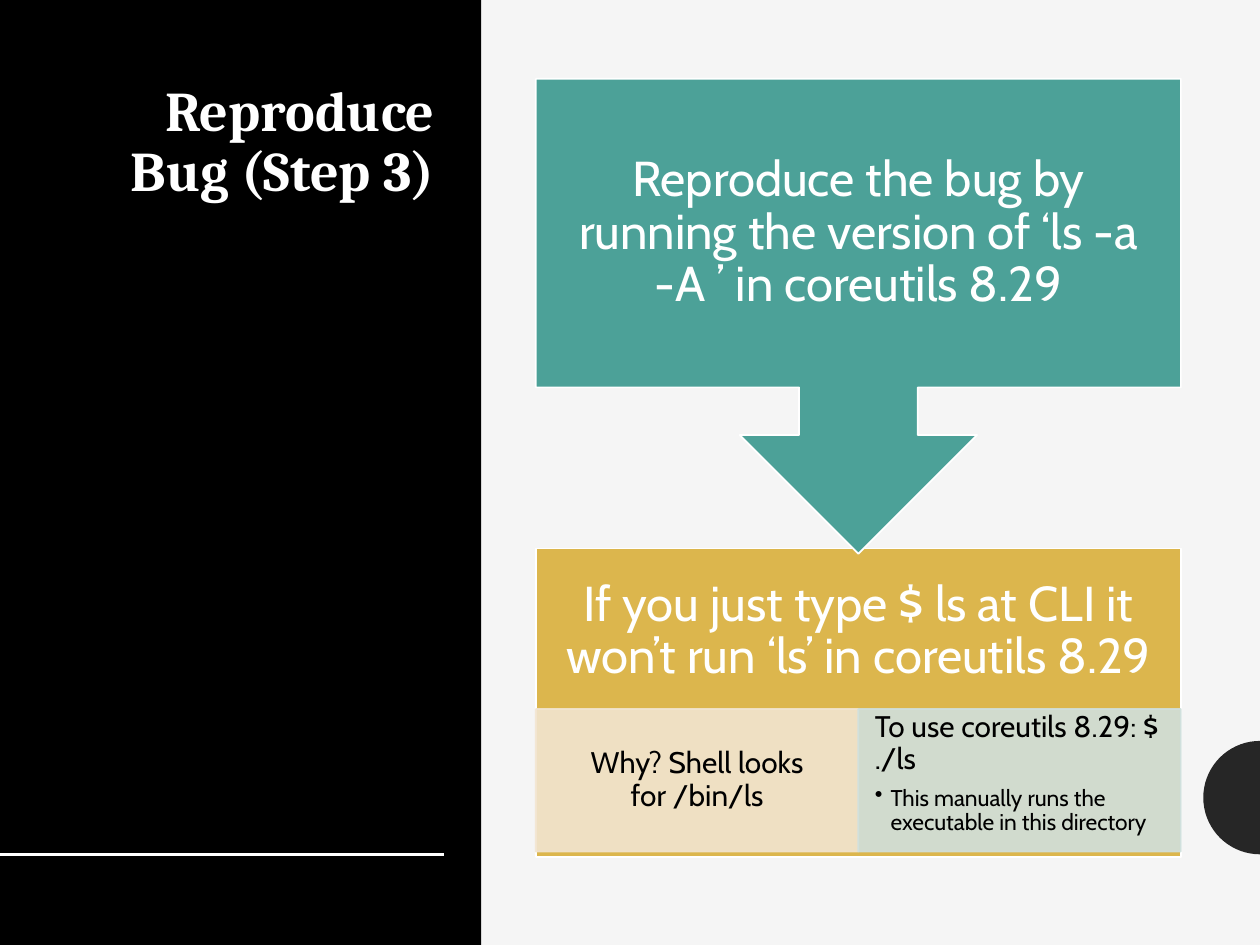
import math
import lxml.etree
import pptx
import pptx.dml.color
import pptx.enum.shapes
import pptx.enum.text
import pptx.oxml.ns
import pptx.util

Pt = pptx.util.Pt
RGB = pptx.dml.color.RGBColor
SHAPE = pptx.enum.shapes.MSO_SHAPE
ALIGN = pptx.enum.text.PP_ALIGN
ANCHOR = pptx.enum.text.MSO_ANCHOR

BLACK = RGB(0x00, 0x00, 0x00)
WHITE = RGB(0xFF, 0xFF, 0xFF)
PAPER = RGB(0xF5, 0xF5, 0xF5)
DARK = RGB(0x26, 0x26, 0x26)
GOLD = RGB(0xDC, 0xB6, 0x4D)
TEAL = RGB(0x4C, 0xA1, 0x98)
SAND = RGB(0xF2, 0xE5, 0xD0)
MINT = RGB(0xD0, 0xE0, 0xDD)


def add(parent, tag, **attrs):
    return lxml.etree.SubElement(parent, pptx.oxml.ns.qn(tag), attrs)


class Deck:
    font = "Cabin"
    head = "Cambria"
    width, height = 720, 540

    def __init__(self):
        self.show = pptx.Presentation()
        self.show.slide_width = Pt(self.width)
        self.show.slide_height = Pt(self.height)
        self.slide = self.show.slides.add_slide(self.show.slide_layouts[6])
        fill = self.slide.background.fill
        fill.solid()
        fill.fore_color.rgb = PAPER

    def paint(self, shape, color, edge=None, alpha=None):
        shape.shadow.inherit = False
        shape.fill.solid()
        shape.fill.fore_color.rgb = color
        if edge is None:
            shape.line.fill.background()
        else:
            shape.line.color.rgb = edge
            shape.line.width = Pt(1)
        if alpha:
            for node in shape._element.spPr.iter(pptx.oxml.ns.qn("a:srgbClr")):
                add(node, "a:alpha", val=str(alpha * 1000))

    def shape(self, box, color, edge=None, alpha=None, kind=SHAPE.RECTANGLE):
        shape = self.slide.shapes.add_shape(kind, *map(Pt, box))
        self.paint(shape, color, edge, alpha)
        return shape

    def disc(self, x, y, radius, steps=36):
        turns = [math.pi * i / steps for i in range(steps + 1)]
        dots = [(Pt(x - radius * math.sin(t)), Pt(y - radius * math.cos(t)))
                for t in turns]
        form = self.slide.shapes.build_freeform(*dots[0])
        form.add_line_segments(dots[1:])
        self.paint(form.convert_to_shape(), DARK)

    def rule(self, x, y, end):
        line = self.slide.shapes.add_connector(
            pptx.enum.shapes.MSO_CONNECTOR.STRAIGHT, Pt(x), Pt(y), Pt(end), Pt(y))
        line.line.color.rgb = WHITE
        line.line.width = Pt(2)
        add(line._element.spPr, "a:effectLst")

    def label(self, shape, words, size, color, pad, align=ALIGN.CENTER,
              anchor=ANCHOR.MIDDLE, font=None, bold=False):
        frame = shape.text_frame
        frame.word_wrap = True
        frame.vertical_anchor = anchor
        frame.margin_left = frame.margin_right = Pt(pad[0])
        frame.margin_top = frame.margin_bottom = Pt(pad[1])
        frame.text = words
        self.style(frame.paragraphs[0], size, color, align, font, bold)
        return frame

    def text(self, box, *args, **style):
        self.label(self.slide.shapes.add_textbox(*map(Pt, box)), *args, **style)

    def bullet(self, frame, words, size, color, indent):
        frame.paragraphs[-1].space_after = Pt(6)
        para = frame.add_paragraph()
        para.text = words
        para.level = 1
        props = para._p.get_or_add_pPr()
        props.set("marL", str(Pt(indent)))
        props.set("indent", str(-Pt(indent)))
        add(props, "a:buChar", char="•")
        self.style(para, size, color, ALIGN.LEFT)

    def style(self, para, size, color, align, font=None, bold=False):
        para.alignment = align
        para.line_spacing = 0.9
        for run in para.runs:
            run.font.name = font or self.font
            run.font.size = Pt(size)
            run.font.bold = bold
            run.font.color.rgb = color


def main():
    deck = Deck()
    deck.disc(deck.width, 455.8, 32.4)
    deck.shape((0, 0, 275, deck.height), BLACK)
    deck.text((44.6, 43.9, 211, 390), "Reproduce Bug (Step 3)", 32, WHITE,
              (7.2, 3.6), align=ALIGN.RIGHT, anchor=ANCHOR.TOP,
              font=deck.head, bold=True)
    deck.rule(0, 488.2, 253.5)

    left, wide, tall = 306.2, 368.6, 176.4
    top, low = 45, 313.4
    pad = (15.7, 15.7)
    deck.shape((left, low, wide, tall), GOLD, WHITE)
    deck.text((left, low, wide, 95),
              "If you just type $ ls at CLI it won’t run ‘ls’ in coreutils 8.29",
              28, WHITE, pad)

    half, row, deep = wide / 2, 405.2, 81.4
    why = deck.shape((left, row, half, deep), SAND, SAND, 90)
    use = deck.shape((left + half, row, half, deep), MINT, MINT, 90)
    deck.label(why, "Why? Shell looks for /bin/ls", 17, BLACK, (9.4, 1.5))
    frame = deck.label(use, "To use coreutils 8.29: $ ./ls", 17, BLACK,
                       (9.4, 1.5), align=ALIGN.LEFT, anchor=ANCHOR.TOP)
    deck.bullet(frame, "This manually runs the executable in this directory",
                13, BLACK, 9)

    call = deck.shape((left, top, wide, 271.4), TEAL, WHITE,
                      kind=SHAPE.UP_ARROW_CALLOUT)
    call.rotation = 180
    deck.text((left, top, wide, tall),
              "Reproduce the bug by running the version of ‘ls -a -A ’ in coreutils 8.29",
              28, WHITE, pad)
    deck.show.save("out.pptx")


if __name__ == "__main__":
    main()
